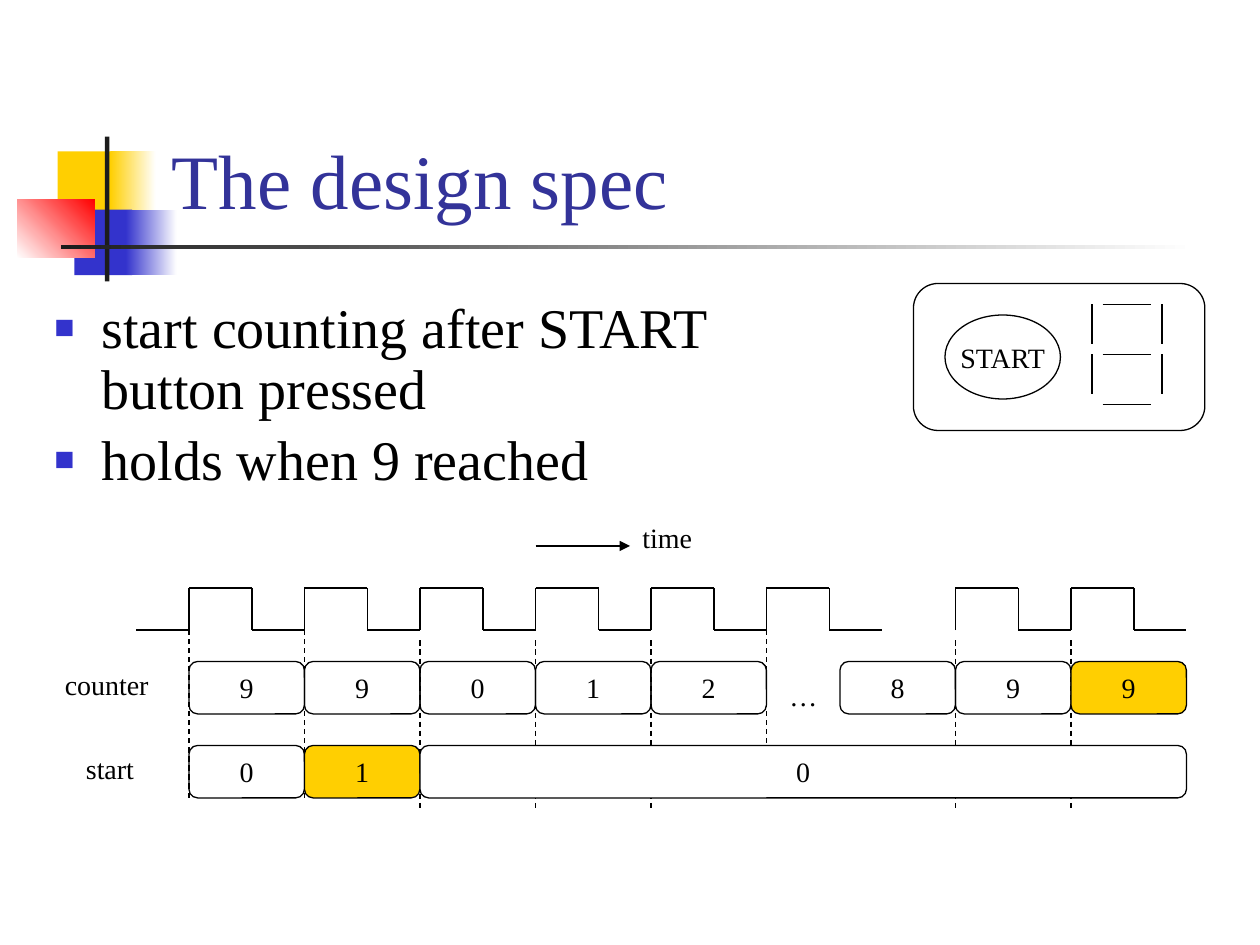
from lxml import etree
from pptx import Presentation
from pptx.dml.color import RGBColor
from pptx.enum.dml import MSO_LINE
from pptx.enum.shapes import MSO_CONNECTOR, MSO_SHAPE as SHAPE
from pptx.enum.text import MSO_ANCHOR as ANCHOR, MSO_AUTO_SIZE, PP_ALIGN as ALIGN
from pptx.oxml.ns import qn
from pptx.util import Pt

BLACK = RGBColor(0x00, 0x00, 0x00)
WHITE = RGBColor(0xFF, 0xFF, 0xFF)
GOLD = RGBColor(0xFF, 0xCF, 0x01)
BLUE = RGBColor(0x33, 0x33, 0xCC)
RED = RGBColor(0xFF, 0x00, 0x00)
CHARCOAL = RGBColor(0x1C, 0x1C, 0x1C)
TITLE_BLUE = RGBColor(0x33, 0x33, 0x99)
FONT = "Times New Roman"


def write(frame, text, size=16, color=BLACK, align=ALIGN.LEFT, anchor=ANCHOR.TOP, wrap=False):
    frame.word_wrap = wrap
    frame.vertical_anchor = anchor
    frame.text = text
    for paragraph in frame.paragraphs:
        paragraph.alignment = align
        for run in paragraph.runs:
            run.font.name = FONT
            run.font.size = Pt(size)
            run.font.color.rgb = color


def draw_line(x1, y1, x2, y2, dash=None):
    line = slide.shapes.add_connector(MSO_CONNECTOR.STRAIGHT, Pt(x1), Pt(y1), Pt(x2), Pt(y2))
    line.line.color.rgb = BLACK
    line.line.width = Pt(0.75)
    if dash:
        line.line.dash_style = dash
    etree.SubElement(line._element.spPr, qn("a:effectLst"))
    return line


prs = Presentation()
prs.slide_width, prs.slide_height = Pt(720), Pt(540)
slide = prs.slides.add_slide(prs.slide_layouts[5])

ornaments = [
    (33, 86.5, 34.5, 37.5, [GOLD], 0),
    (63, 86.5, 26, 37.5, [GOLD, WHITE], 0),
    (42.5, 119.8, 33, 37.5, [BLUE], 0),
    (72, 119.8, 29, 37.5, [BLUE, WHITE], 0),
    (9.8, 113.8, 44.3, 33.5, [WHITE, RED], 45),
    (60, 78, 2.5, 82.8, [CHARCOAL], 0),
    (34.8, 140, 648, 2.5, [CHARCOAL, WHITE], 0),
]
for left, top, width, height, colors, angle in ornaments:
    ornament = slide.shapes.add_shape(SHAPE.RECTANGLE, Pt(left), Pt(top), Pt(width), Pt(height))
    ornament.shadow.inherit = False
    ornament.line.fill.background()
    if len(colors) == 1:
        ornament.fill.solid()
        ornament.fill.fore_color.rgb = colors[0]
    else:
        ornament.fill.gradient()
        ornament.fill.gradient_angle = angle
        for stop, color in zip(ornament.fill.gradient_stops, colors):
            stop.color.rgb = color

title = slide.shapes.title
title.left, title.top, title.width, title.height = Pt(91), Pt(16.5), Pt(613.5), Pt(115.5)
write(title.text_frame, "The design spec", size=44, color=TITLE_BLUE, anchor=ANCHOR.BOTTOM, wrap=True)

rules = slide.shapes.add_textbox(Pt(24), Pt(168), Pt(432), Pt(120)).text_frame
write(rules, "start counting after START button pressed\nholds when 9 reached", size=32, wrap=True)
for rule in rules.paragraphs:
    rule.line_spacing = 0.9
    rule.space_before = Pt(6.4)
    props = rule._p.get_or_add_pPr()
    props.set("marL", str(Pt(27)))
    props.set("indent", str(-Pt(27)))
    bullet_color = etree.SubElement(props, qn("a:buClr"))
    etree.SubElement(bullet_color, qn("a:srgbClr"), val=str(BLUE))
    etree.SubElement(props, qn("a:buSzPct"), val="60000")
    etree.SubElement(props, qn("a:buFont"), typeface=FONT)
    etree.SubElement(props, qn("a:buChar"), char="■")

for y in (174, 202.5, 231):
    draw_line(630, y, 658, y)
for x in (624, 664):
    for y in (174, 202.5):
        draw_line(x, y, x, y + 22.5)

PERIOD, HIGH = 66, 36
CLOCK_TOP, CLOCK_BASE = 336, 360
COUNTER_TOP, START_TOP, CELL_HEIGHT = 378, 426, 30
rising_edges = [108 + PERIOD * i for i in range(6)] + [546, 612]
short_guides = (108, 174, 438)

draw_line(78, CLOCK_BASE, 108, CLOCK_BASE)
for edge in rising_edges:
    fall = edge + HIGH
    draw_line(edge, CLOCK_BASE, edge, CLOCK_TOP)
    draw_line(edge, CLOCK_TOP, fall, CLOCK_TOP)
    draw_line(fall, CLOCK_TOP, fall, CLOCK_BASE)
    draw_line(fall, CLOCK_BASE, edge + PERIOD, CLOCK_BASE)
    guide_top = CLOCK_BASE if edge in short_guides else CLOCK_BASE + 6
    draw_line(edge, guide_top, edge, guide_top + 96, dash=MSO_LINE.DASH)

counter_cells = zip([*rising_edges[:5], 480, 546, 612], "99012899")
cells = [(SHAPE.ROUNDED_RECTANGLE, x, COUNTER_TOP, PERIOD, CELL_HEIGHT, digit, GOLD if x == 612 else None)
         for x, digit in counter_cells]
cells += [
    (SHAPE.ROUNDED_RECTANGLE, 108, START_TOP, PERIOD, CELL_HEIGHT, "0", None),
    (SHAPE.ROUNDED_RECTANGLE, 174, START_TOP, PERIOD, CELL_HEIGHT, "1", GOLD),
    (SHAPE.ROUNDED_RECTANGLE, 240, START_TOP, 438, CELL_HEIGHT, "0", WHITE),
    (SHAPE.ROUNDED_RECTANGLE, 522, 162, 166.5, 84, "", None),
    (SHAPE.OVAL, 540, 180, 66, 48, "START", None),
]
for outline, left, top, width, height, text, color in cells:
    cell = slide.shapes.add_shape(outline, Pt(left), Pt(top), Pt(width), Pt(height))
    cell.shadow.inherit = False
    cell.line.color.rgb = BLACK
    cell.line.width = Pt(0.75)
    if color is None:
        cell.fill.background()
    else:
        cell.fill.solid()
        cell.fill.fore_color.rgb = color
    if text:
        write(cell.text_frame, text, align=ALIGN.CENTER, anchor=ANCHOR.MIDDLE)

time_arrow = draw_line(306, 312, 360, 312)
etree.SubElement(time_arrow.line._get_or_add_ln(), qn("a:tailEnd"), type="triangle")

labels = [("counter", 30, 378, 62.5), ("start", 42, 426, 42.5), ("…", 444, 384, 30), ("time", 360, 294, 43)]
for text, left, top, width in labels:
    label = slide.shapes.add_textbox(Pt(left), Pt(top), Pt(width), Pt(26.5)).text_frame
    write(label, text)
    label.auto_size = MSO_AUTO_SIZE.SHAPE_TO_FIT_TEXT

prs.save("out.pptx")
